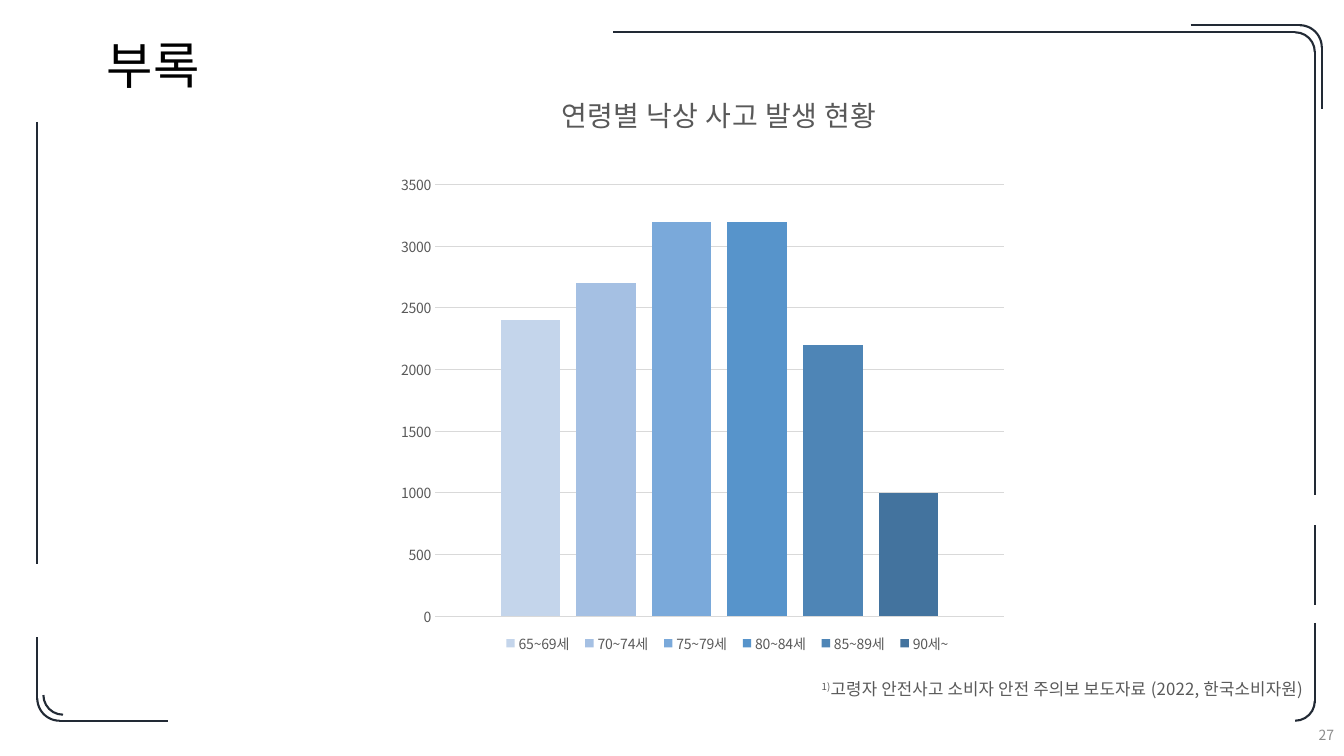
from lxml import etree
from pptx import Presentation
from pptx.chart.data import CategoryChartData
from pptx.dml.color import RGBColor
from pptx.enum.chart import XL_CHART_TYPE as CHART, XL_LEGEND_POSITION as LEGEND, XL_TICK_MARK as TICK
from pptx.enum.shapes import MSO_CONNECTOR as CONN, MSO_SHAPE as SHAPE
from pptx.enum.text import MSO_ANCHOR as ANCHOR, PP_ALIGN as ALIGN
from pptx.oxml.ns import qn
from pptx.util import Inches, Pt

FONT = "Noto Sans CJK KR"
COLORS = {"frame": "222A35", "title": "000000", "text": "595959", "grid": "D9D9D9", "page": "8C8C8C"}
AGE_GROUPS = [
    ("65~69세", 2400, "C4D5EB"),
    ("70~74세", 2700, "A5C0E3"),
    ("75~79세", 3200, "7AA9DA"),
    ("80~84세", 3200, "5794CB"),
    ("85~89세", 2200, "4E85B6"),
    ("90세~", 1000, "43739E"),
]


def rgb(name):
    """Return the colour for a palette name or a hex string."""
    return RGBColor.from_string(COLORS.get(name, name))


def style_font(font, size, color):
    """Set size, colour and typeface for Latin and Korean text."""
    font.size = Pt(size)
    font.color.rgb = rgb(color)
    font.name = FONT
    etree.SubElement(font._rPr, qn("a:ea")).set("typeface", FONT)


def add_text(slide, box, text, size=12, color="text", align=ALIGN.CENTER, anchor=ANCHOR.TOP, mark="", spacing=0):
    """Add one line of text, led by an optional superscript mark."""
    tf = slide.shapes.add_textbox(*map(Inches, box)).text_frame
    tf.word_wrap = True
    tf.vertical_anchor = anchor
    p = tf.paragraphs[0]
    p.alignment = align
    for part in filter(None, (mark, text)):
        r = p.add_run()
        r.text = part
        style_font(r.font, size, color)
        r.font._rPr.set("spc", str(spacing))
        if part == mark:
            r.font._rPr.set("baseline", "30000")


def add_line(slide, x1, y1, x2, y2):
    """Draw one straight frame line."""
    line = slide.shapes.add_connector(CONN.STRAIGHT, *map(Inches, (x1, y1, x2, y2)))
    line.line.color.rgb = rgb("frame")
    line.line.width = Pt(1.5)
    etree.SubElement(line._element.spPr, qn("a:effectLst"))


def add_corner(slide, x, y, size, rotation=0):
    """Draw one quarter arc of the frame."""
    sp = slide.shapes.add_shape(SHAPE.ARC, *map(Inches, (x, y, size, size)))
    sp.rotation = rotation
    sp.shadow.inherit = False
    sp.fill.background()
    sp.line.color.rgb = rgb("frame")
    sp.line.width = Pt(1.5)


def add_frame(slide, left, top, right, bottom):
    """Draw the broken frame with doubled corners inside the given edges."""
    for y1, y2 in ((top + 0.2, 4.91), (5.21, 6), (6.18, bottom - 0.18)):
        add_line(slide, right, y1, right, y2)
    for y1, y2 in ((1.21, 5.6), (6.32, bottom - 0.21)):
        add_line(slide, left, y1, left, y2)
    add_line(slide, 6.08, top, right - 0.2, top)
    add_line(slide, left + 0.22, bottom, 1.67, bottom)
    add_line(slide, 11.81, top - 0.07, right - 0.15, top - 0.07)
    add_line(slide, right + 0.07, top + 0.15, right + 0.07, 1.08)
    add_corner(slide, right - 0.39, top, 0.39)
    add_corner(slide, right - 0.37, top - 0.07, 0.44)
    add_corner(slide, right - 0.39, bottom - 0.39, 0.39, 90)
    add_corner(slide, left + 0.06, bottom - 0.45, 0.39, 180)
    add_corner(slide, left, bottom - 0.44, 0.44, 180)


def set_layout(element, index, x, y, w, h, inner=False):
    """Place a chart part at fractions of the chart area."""
    for old in element.findall(qn("c:layout")):
        element.remove(old)
    layout = etree.Element(qn("c:layout"))
    manual = etree.SubElement(layout, qn("c:manualLayout"))
    settings = [("layoutTarget", "inner")] if inner else []
    settings += [("xMode", "edge"), ("yMode", "edge"), ("x", x), ("y", y), ("w", w), ("h", h)]
    for tag, value in settings:
        etree.SubElement(manual, qn(f"c:{tag}")).set("val", str(value))
    element.insert(index, layout)


def add_age_chart(slide, box):
    """Add the column chart of falls by age group."""
    data = CategoryChartData()
    data.categories = ["1"]
    for name, value, _ in AGE_GROUPS:
        data.add_series(name, [value])
    chart = slide.shapes.add_chart(CHART.COLUMN_CLUSTERED, *map(Inches, box), data).chart
    style_font(chart.font, 10, "text")
    chart.has_title = False
    chart.has_legend = True
    chart.legend.position = LEGEND.BOTTOM
    chart.legend.include_in_layout = False
    style_font(chart.legend.font, 10, "text")
    plot = chart.plots[0]
    plot.gap_width, plot.overlap, plot.vary_by_categories = 219, -27, False
    for series, (_, _, color) in zip(plot.series, AGE_GROUPS):
        series.format.fill.solid()
        series.format.fill.fore_color.rgb = rgb(color)
    chart.category_axis.visible = False
    axis = chart.value_axis
    axis.minimum_scale, axis.maximum_scale, axis.major_unit = 0, 3500, 500
    axis.major_tick_mark = axis.minor_tick_mark = TICK.NONE
    axis.format.line.fill.background()
    axis.major_gridlines.format.line.color.rgb = rgb("grid")
    axis.major_gridlines.format.line.width = Pt(0.75)
    style_font(axis.tick_labels.font, 10, "text")
    set_layout(chart._chartSpace.chart.plotArea, 0, 0.075, 0.04, 0.905, 0.85, inner=True)
    set_layout(chart.legend._element, 1, 0.17, 0.91, 0.74, 0.066)


def main():
    """Build the appendix slide and save it."""
    prs = Presentation()
    prs.slide_width, prs.slide_height = Inches(13.33), Inches(7.5)
    slide = prs.slides.add_slide(prs.slide_layouts[6])
    add_frame(slide, 0.37, 0.32, 13.04, 7.15)
    add_text(slide, (10.89, 7.09, 2.44, 0.4), "27", size=10, color="page", align=ALIGN.RIGHT, anchor=ANCHOR.MIDDLE)
    add_age_chart(slide, (3.85, 1.63, 6.23, 5.04))
    add_text(slide, (-0.38, 0.29, 3.8, 0.71), "부록", size=36, color="title")
    add_text(slide, (5.09, 0.93, 4.08, 0.44), "연령별 낙상 사고 발생 현황", size=20, spacing=30)
    add_text(slide, (7.41, 6.68, 5.61, 0.3), "고령자 안전사고 소비자 안전 주의보 보도자료 (2022, 한국소비자원)",
             align=ALIGN.RIGHT, mark="1)", spacing=10)
    prs.save("out.pptx")


if __name__ == "__main__":
    main()
